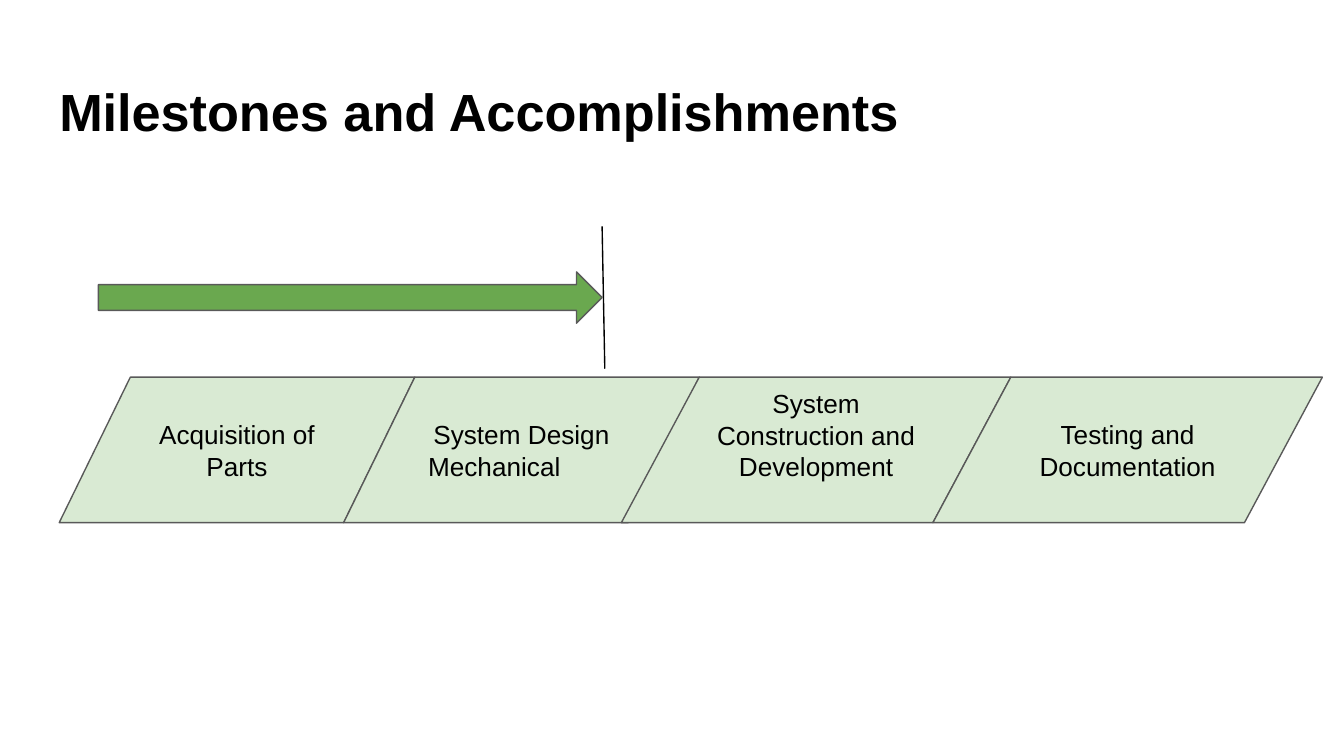
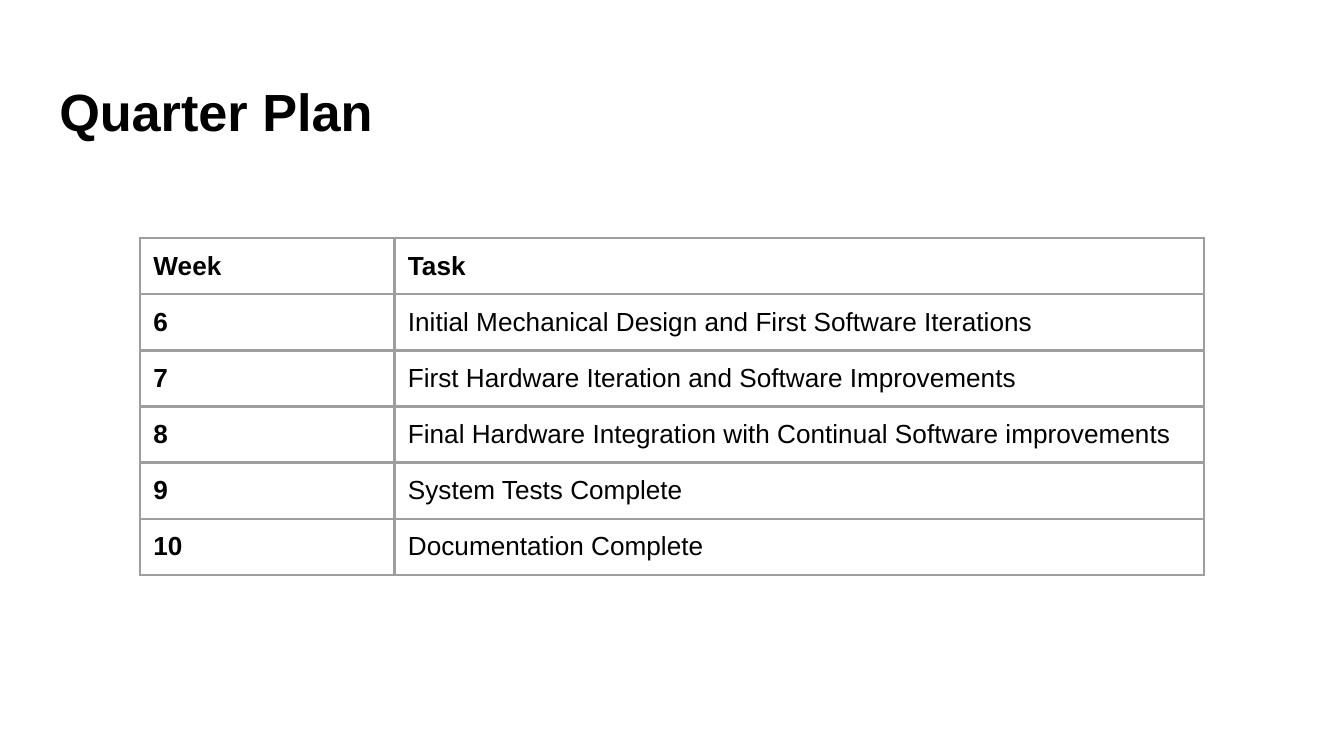
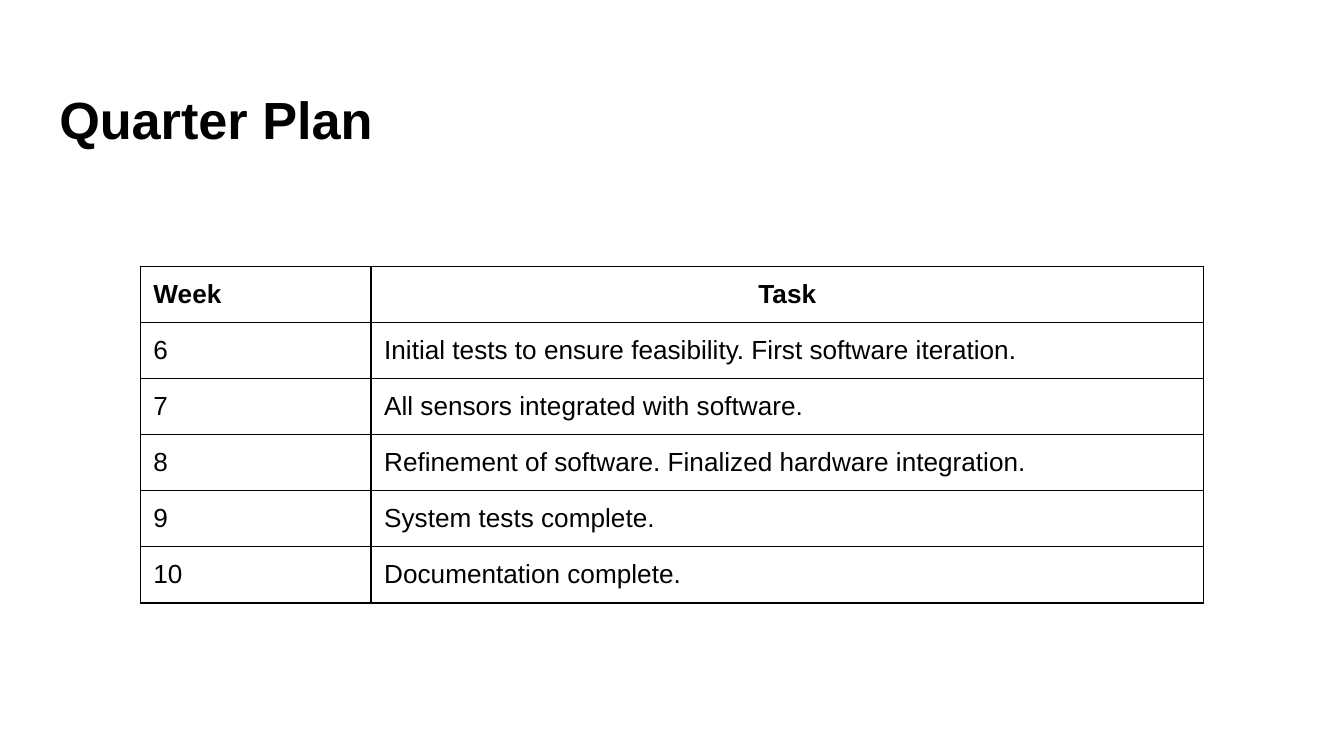
from dataclasses import dataclass

from lxml import etree
from pptx import Presentation
from pptx.dml.color import RGBColor
from pptx.enum.shapes import MSO_CONNECTOR, MSO_SHAPE
from pptx.enum.text import MSO_ANCHOR, MSO_AUTO_SIZE, PP_ALIGN
from pptx.oxml.ns import qn
from pptx.util import Cm, Pt

LEFT, CENTER = PP_ALIGN.LEFT, PP_ALIGN.CENTER
TOP, MIDDLE = MSO_ANCHOR.TOP, MSO_ANCHOR.MIDDLE
NO_AUTOFIT = MSO_AUTO_SIZE.NONE
PARALLELOGRAM = MSO_SHAPE.FLOWCHART_DATA
RIGHT_ARROW = MSO_SHAPE.RIGHT_ARROW
STRAIGHT = MSO_CONNECTOR.STRAIGHT
TITLE_ONLY = 5


@dataclass(frozen=True)
class Theme:
    font: str = "Arial"
    title_size: float = 28
    body_size: float = 14
    ink: str = "000000"
    paper: str = "FFFFFF"
    outline: str = "595959"
    step_fill: str = "D9EAD3"
    progress_fill: str = "6AA84F"
    grid_gray: str = "9E9E9E"
    thin: float = 0.75
    thick: float = 1.5
    inset: float = 0.25


@dataclass(frozen=True)
class Box:
    """A region in centimetres."""
    left: float
    top: float
    width: float
    height: float

    def lengths(self):
        return [Cm(v) for v in (self.left, self.top, self.width, self.height)]


THEME = Theme()
SLANT = 0.2  # share of a step's width taken up by its slanted side

# Each step: width, lines with their alignment, bottom inset
STEPS = [
    (6.72, [("Acquisition of Parts", CENTER)], THEME.inset),
    (6.72, [("System Design", CENTER), ("Mechanical", LEFT)], THEME.inset),
    (7.36, [("System Construction and Development", CENTER)], 0.82),
    (7.36, [("Testing and Documentation", CENTER)], THEME.inset),
]

HARDWARE_PLAN = [
    ("Week", "Task"),
    ("6", "Initial Mechanical Design and First Software Iterations"),
    ("7", "First Hardware Iteration and Software Improvements"),
    ("8", "Final Hardware Integration with Continual Software improvements"),
    ("9", "System Tests Complete"),
    ("10", "Documentation Complete"),
]

SOFTWARE_PLAN = [
    ("Week", "Task"),
    ("6", "Initial tests to ensure feasibility. First software iteration."),
    ("7", "All sensors integrated with software."),
    ("8", "Refinement of software. Finalized hardware integration."),
    ("9", "System tests complete."),
    ("10", "Documentation complete."),
]


def apply_format(target, values):
    for name, value in values.items():
        setattr(target, name, value)


def frame_format(**changes):
    inset = Cm(THEME.inset)
    return {"margin_left": inset, "margin_right": inset,
            "margin_top": inset, "margin_bottom": inset, **changes}


def write_line(para, text, align=LEFT, size=THEME.body_size, bold=False):
    para.alignment = align
    span = para.add_run()
    span.text = text
    apply_format(span.font, {"name": THEME.font, "size": Pt(size), "bold": bold})
    span.font.color.rgb = RGBColor.from_string(THEME.ink)


def style_line(line, color, width):
    line.color.rgb = RGBColor.from_string(color)
    line.width = Pt(width)


def add_outlined_shape(page, kind, box, fill):
    shape = page.shapes.add_shape(kind, *box.lengths())
    shape.shadow.inherit = False
    shape.fill.solid()
    shape.fill.fore_color.rgb = RGBColor.from_string(fill)
    style_line(shape.line, THEME.outline, THEME.thin)
    return shape


def add_titled_page(deck, text, top=1.24):
    page = deck.slides.add_slide(deck.slide_layouts[TITLE_ONLY])
    title = page.shapes.title
    box = Box(0.87, top, 23.67, 1.6)
    apply_format(title, dict(zip(("left", "top", "width", "height"), box.lengths())))
    apply_format(title.text_frame, frame_format(
        margin_bottom=0, word_wrap=True,
        vertical_anchor=TOP, auto_size=NO_AUTOFIT))
    write_line(title.text_frame.paragraphs[0], text,
               size=THEME.title_size, bold=True)
    return page


def add_step_chain(page, left, top, height):
    """Each step's top left corner meets the top right corner of the one before."""
    top_corner = left + SLANT * STEPS[0][0]
    for width, lines, bottom_inset in STEPS:
        box = Box(top_corner - SLANT * width, top, width, height)
        step = add_outlined_shape(page, PARALLELOGRAM, box, THEME.step_fill)
        frame = step.text_frame
        apply_format(frame, frame_format(
            margin_bottom=Cm(bottom_inset), word_wrap=True, vertical_anchor=MIDDLE))
        for index, (text, align) in enumerate(lines):
            para = frame.add_paragraph() if index else frame.paragraphs[0]
            write_line(para, text, align)
        top_corner = box.left + width


def add_progress_marker(page, box):
    """An arrow across the box, stopped by a slightly leaning line."""
    arrow_height = 0.97
    add_outlined_shape(page, RIGHT_ARROW,
                       Box(box.left, box.top + 0.86, box.width, arrow_height),
                       THEME.progress_fill)
    right = box.left + box.width
    marker = page.shapes.add_connector(
        STRAIGHT, Cm(right), Cm(box.top),
        Cm(right + 0.05), Cm(box.top + box.height))
    style_line(marker.line, THEME.ink, THEME.thin)
    properties = marker.element.find(qn("p:spPr"))
    etree.SubElement(properties, qn("a:effectLst"))


def border_cell(cell, color, width):
    properties = cell._tc.get_or_add_tcPr()
    for side in ("lnL", "lnR", "lnT", "lnB"):
        line = etree.SubElement(properties, qn(f"a:{side}"), w=str(Pt(width)))
        fill = etree.SubElement(line, qn("a:solidFill"))
        etree.SubElement(fill, qn("a:srgbClr"), val=color)


def add_plan_table(page, rows, box, week_width, border, bold_weeks=False,
                   task_align=LEFT):
    table = page.shapes.add_table(len(rows), len(rows[0]), *box.lengths()).table
    table.horz_banding = False
    for column, width in zip(table.columns, (week_width, box.width - week_width)):
        column.width = Cm(width)
    for row in table.rows:
        row.height = Cm(box.height / len(rows))
    for r, texts in enumerate(rows):
        for c, text in enumerate(texts):
            cell = table.cell(r, c)
            header = r == 0
            border_cell(cell, *border)
            cell.fill.background()
            apply_format(cell, frame_format(vertical_anchor=TOP))
            write_line(cell.text_frame.paragraphs[0], text,
                       align=task_align if header and c == 1 else LEFT,
                       bold=header or (bold_weeks and c == 0))


def build_milestones(deck):
    page = add_titled_page(deck, "Milestones and Accomplishments")
    add_step_chain(page, left=1.12, top=7.13, height=2.75)
    add_progress_marker(page, Box(1.86, 4.28, 9.52, 2.69))


def build_hardware_plan(deck):
    page = add_titled_page(deck, "Quarter Plan")
    add_plan_table(page, HARDWARE_PLAN, Box(2.65, 4.5, 20.1, 6.37),
                   week_width=4.81, border=(THEME.grid_gray, THEME.thick),
                   bold_weeks=True)


def build_software_plan(deck):
    page = add_titled_page(deck, "Quarter Plan", top=1.4)
    style_line(page.shapes.title.line, THEME.paper, THEME.thin)
    add_plan_table(page, SOFTWARE_PLAN, Box(2.65, 5.03, 20.1, 6.37),
                   week_width=4.36, border=(THEME.ink, THEME.thin),
                   task_align=CENTER)


def main():
    deck = Presentation()
    deck.slide_width, deck.slide_height = Cm(25.4), Cm(14.29)
    for build in (build_milestones, build_hardware_plan, build_software_plan):
        build(deck)
    deck.save("out.pptx")


if __name__ == "__main__":
    main()
